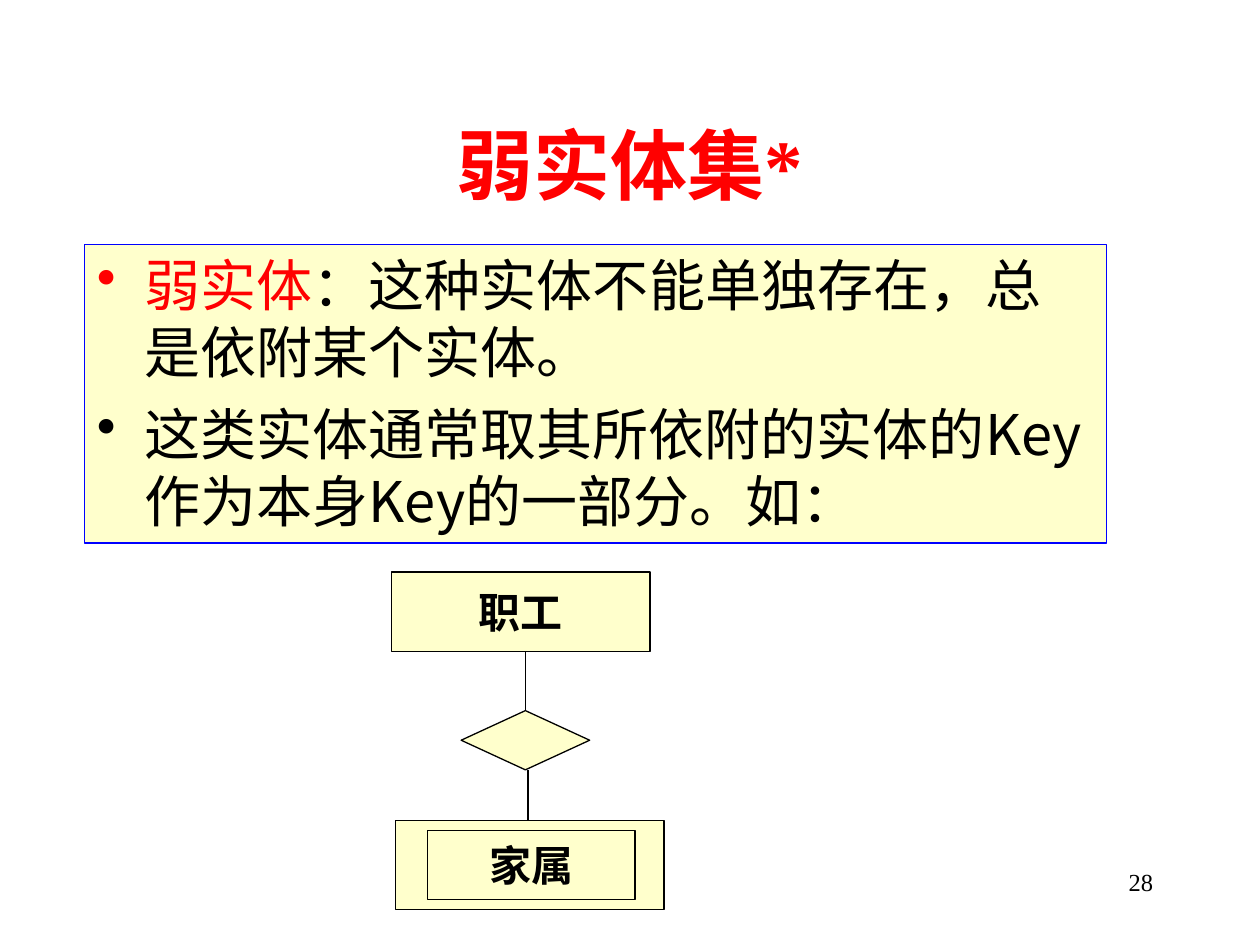
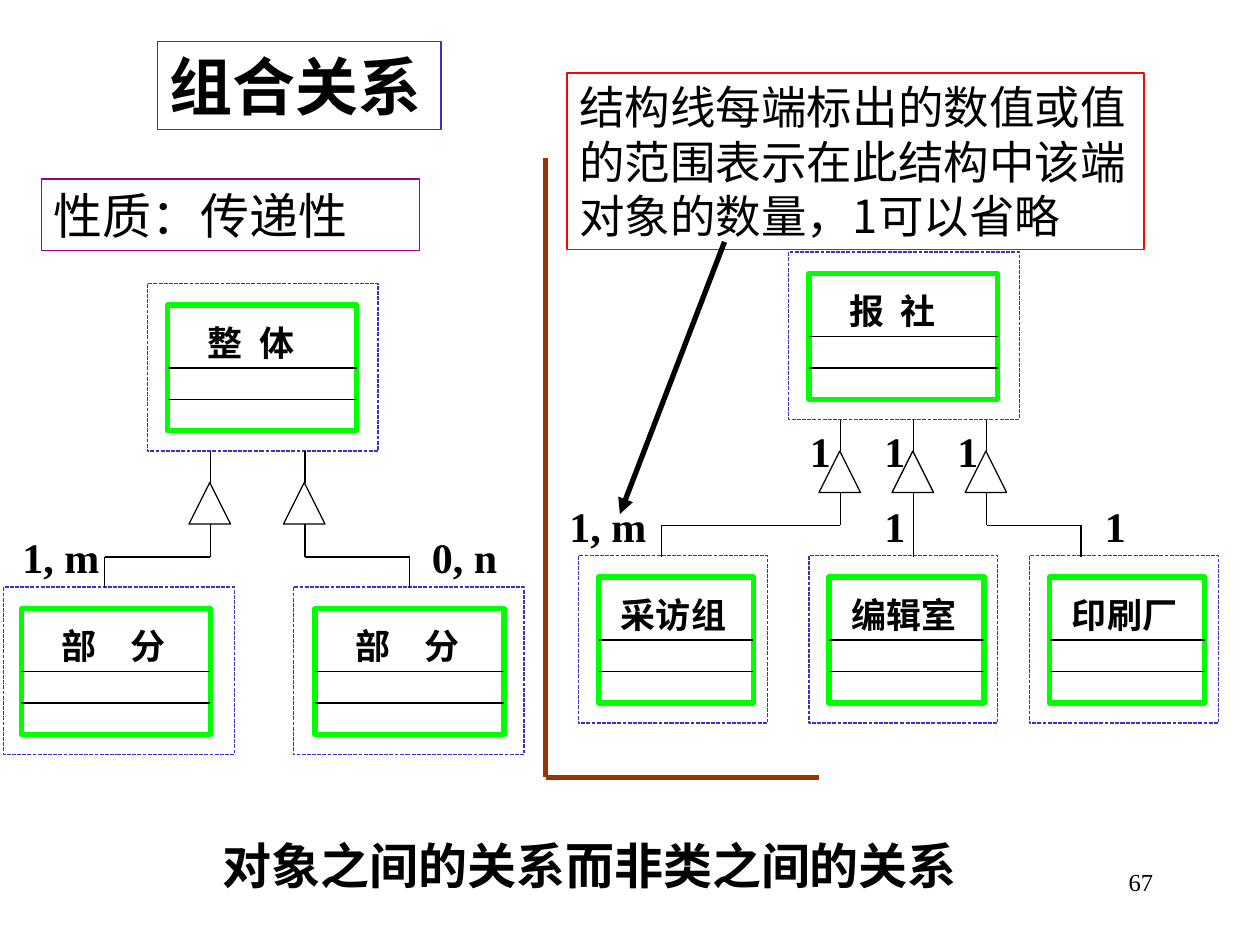
import itertools

import lxml.etree
import pptx
import pptx.dml.color
import pptx.enum.dml
import pptx.enum.shapes
import pptx.enum.text
import pptx.oxml.ns
import pptx.util

Inches = pptx.util.Inches
Pt = pptx.util.Pt
RGBColor = pptx.dml.color.RGBColor
Align = pptx.enum.text.PP_ALIGN
Anchor = pptx.enum.text.MSO_ANCHOR
Preset = pptx.enum.shapes.MSO_SHAPE
qn = pptx.oxml.ns.qn

BLACK = RGBColor(0x00, 0x00, 0x00)
RED = RGBColor(0xFF, 0x00, 0x00)
BLUE = RGBColor(0x00, 0x00, 0xFF)
INDIGO = RGBColor(0x33, 0x33, 0xCC)
GREEN = RGBColor(0x00, 0xFF, 0x00)
BROWN = RGBColor(0x99, 0x33, 0x00)
PURPLE = RGBColor(0x99, 0x00, 0x99)
CREAM = RGBColor(0xFF, 0xFF, 0xCC)

SERIF = "Times New Roman"
SANS = "Noto Sans CJK SC"
SANS_JP = "Noto Sans CJK JP"
LINE_HEIGHT = 1.2
THIN = 0.75
THICK = 3


class Deck:
    """Draws styled elements on the current slide of a presentation."""

    def __init__(self):
        self.presentation = pptx.Presentation()
        self.presentation.slide_width = Inches(10)
        self.presentation.slide_height = Inches(7.5)
        self.slide = None

    def new_slide(self, number):
        layout = self.presentation.slide_layouts[6]
        self.slide = self.presentation.slides.add_slide(layout)
        self.text(7.17, 6.83, 2.08, 0.5, str(number), 14, bold=False, align=Align.RIGHT)

    def add_run(self, paragraph, text, size, color=BLACK, bold=True, font=SERIF, spacing=0):
        run = paragraph.add_run()
        run.text = text
        run.font.size = Pt(size)
        run.font.bold = bold
        run.font.color.rgb = color
        run.font.name = font
        properties = run.font._element
        east_asian = SANS if font == SERIF else font
        lxml.etree.SubElement(properties, qn("a:ea"), typeface=east_asian)
        if spacing:
            properties.set("spc", str(spacing * 100))

    def label(self, shape, text, size, align=Align.LEFT, anchor=Anchor.TOP, gap=0, **style):
        frame = shape.text_frame
        frame.word_wrap = True
        frame.vertical_anchor = anchor
        paragraph = frame.paragraphs[0]
        paragraph.alignment = align
        paragraph.line_spacing = Pt(size * LINE_HEIGHT)
        if gap:
            first, last = text.split(" ")
            self.add_run(paragraph, first, size, **style)
            self.add_run(paragraph, " ", size, spacing=gap, **style)
            self.add_run(paragraph, last, size, **style)
        else:
            self.add_run(paragraph, text, size, **style)

    def text(self, left, top, width, height, text, size, **style):
        box = self.slide.shapes.add_textbox(
            Inches(left), Inches(top), Inches(width), Inches(height))
        self.label(box, text, size, **style)

    def shape(self, left, top, width, height, preset=Preset.RECTANGLE,
              fill=None, line=BLACK, weight=THIN, dash=None):
        shape = self.slide.shapes.add_shape(
            preset, Inches(left), Inches(top), Inches(width), Inches(height))
        shape.shadow.inherit = False
        if fill is None:
            shape.fill.background()
        else:
            shape.fill.solid()
            shape.fill.fore_color.rgb = fill
        shape.line.color.rgb = line
        shape.line.width = Pt(weight)
        if dash:
            shape.line.dash_style = dash
        return shape

    def line(self, start, end, color=BLACK, weight=THIN, arrow=False):
        connector = self.slide.shapes.add_connector(
            pptx.enum.shapes.MSO_CONNECTOR.STRAIGHT,
            *(Inches(value) for value in (*start, *end)))
        connector.line.color.rgb = color
        connector.line.width = Pt(weight)
        if arrow:
            outline = connector.line._get_or_add_ln()
            lxml.etree.SubElement(outline, qn("a:tailEnd"), type="triangle")
        lxml.etree.SubElement(connector._element.spPr, qn("a:effectLst"))

    def polyline(self, *points, **style):
        for start, end in itertools.pairwise(points):
            if start != end:
                self.line(start, end, **style)

    def bullets(self, shape, items, size):
        frame = shape.text_frame
        frame.word_wrap = True
        frame.vertical_anchor = Anchor.TOP
        for index, runs in enumerate(items):
            paragraph = frame.add_paragraph() if index else frame.paragraphs[0]
            paragraph.alignment = Align.LEFT
            paragraph.line_spacing = Pt(size * LINE_HEIGHT)
            if index:
                paragraph.space_before = Pt(8)
            properties = paragraph._p.get_or_add_pPr()
            properties.set("marL", str(Inches(0.38)))
            properties.set("indent", str(Inches(-0.38)))
            color = lxml.etree.SubElement(properties, qn("a:buClr"))
            lxml.etree.SubElement(color, qn("a:srgbClr"), val=str(runs[0][1]))
            lxml.etree.SubElement(properties, qn("a:buChar"), char="•")
            for text, text_color in runs:
                self.add_run(paragraph, text, size, text_color, bold=False, font=SANS)

    def class_box(self, left, top, width, frame_width, name, indent=0, gap=0, inset=0.16):
        self.shape(left, top, width, 1, line=GREEN, weight=THICK)
        self.text(left + 0.08 + indent, top + 0.08, 1.17, 0.44, name, 20, gap=gap)
        for row in (0.5, 0.75):
            self.line((left, top + row), (left + width, top + row))
        self.shape(left - inset, top - 0.17, frame_width, 1.33, line=INDIGO,
                   dash=pptx.enum.dml.MSO_LINE.SQUARE_DOT)

    def composition(self, x, top, child_x):
        self.line((x, top), (x, top + 0.25))
        self.shape(x - 0.17, top + 0.25, 0.33, 0.33, Preset.ISOSCELES_TRIANGLE)
        bend = top + 0.84
        self.polyline((x, top + 0.58), (x, bend), (child_x, bend), (child_x, top + 1.09))


def weak_entity_slide(deck):
    deck.new_slide(28)
    deck.text(0.75, 0.67, 8.5, 1.25, "弱实体集*", 44, color=RED,
              align=Align.CENTER, anchor=Anchor.MIDDLE)
    definition = deck.shape(0.67, 1.94, 8.11, 2.37, fill=CREAM, line=BLUE)
    deck.bullets(definition, [
        [("弱实体", RED), ("：这种实体不能单独存在，总是依附某个实体。", BLACK)],
        [("这类实体通常取其所依附的实体的Key作为本身Key的一部分。如：", BLACK)],
    ], 32)

    employee = deck.shape(3.11, 4.54, 2.05, 0.63, fill=CREAM)
    deck.shape(3.14, 6.51, 2.13, 0.71, fill=CREAM)
    family = deck.shape(3.39, 6.59, 1.65, 0.55, fill=CREAM)
    for entity, name in ((employee, "职工"), (family, "家属")):
        deck.label(entity, name, 24, align=Align.CENTER, anchor=Anchor.MIDDLE)
    deck.shape(3.66, 5.64, 1.02, 0.47, Preset.FLOWCHART_DECISION, fill=CREAM)
    deck.line((4.17, 5.17), (4.17, 5.64))
    deck.line((4.19, 6.11), (4.19, 6.51))


def composition_slide(deck):
    deck.new_slide(67)
    heading = deck.shape(1.25, 0.33, 2.25, 0.7, line=INDIGO)
    deck.label(heading, "组合关系", 36)
    deck.polyline((4.33, 1.25), (4.33, 6.17), (6.5, 6.17), color=BROWN, weight=THICK)

    deck.class_box(1.33, 2.42, 1.5, 1.83, "整 体", indent=0.14, gap=5)
    for left, inset in ((0.17, 0.14), (2.5, 0.17)):
        deck.class_box(left, 4.83, 1.5, 1.83, "部 分", indent=0.14, gap=15, inset=inset)
    deck.class_box(6.42, 2.17, 1.5, 1.83, "报 社", indent=0.14, gap=5)
    for left, name in ((4.75, "采访组"), (6.58, "编辑室"), (8.33, "印刷厂")):
        deck.class_box(left, 4.58, 1.23, 1.5, name)

    for x, top, child_x in ((1.67, 3.58, 0.83), (2.42, 3.58, 3.25),
                            (6.67, 3.33, 5.25), (7.25, 3.33, 7.25), (7.83, 3.33, 8.58)):
        deck.composition(x, top, child_x)

    for left, top, count in ((0.08, 4.17, "1, m"), (3.33, 4.17, "0, n"), (4.42, 3.92, "1, m"),
                             (6.33, 3.33, "1"), (6.92, 3.33, "1"), (7.5, 3.33, "1"),
                             (6.92, 3.92, "1"), (8.67, 3.92, "1")):
        deck.text(left, top, 0.42 if count == "1" else 0.92, 0.5, count, 24)

    deck.text(1.67, 6.58, 6.33, 0.57, "对象之间的关系而非类之间的关系", 28)
    note = deck.shape(4.5, 0.58, 4.58, 1.4, line=RED)
    deck.label(note, "结构线每端标出的数值或值的范围表示在此结构中该端对象的数量，1可以省略",
               26, bold=False, font=SANS_JP)
    deck.line((5.75, 1.92), (4.92, 4.08), weight=THICK, arrow=True)
    nature = deck.shape(0.33, 1.42, 3, 0.57, line=PURPLE)
    deck.label(nature, "性质：传递性", 28, bold=False)


def main():
    deck = Deck()
    weak_entity_slide(deck)
    composition_slide(deck)
    deck.presentation.save("out.pptx")


if __name__ == "__main__":
    main()
